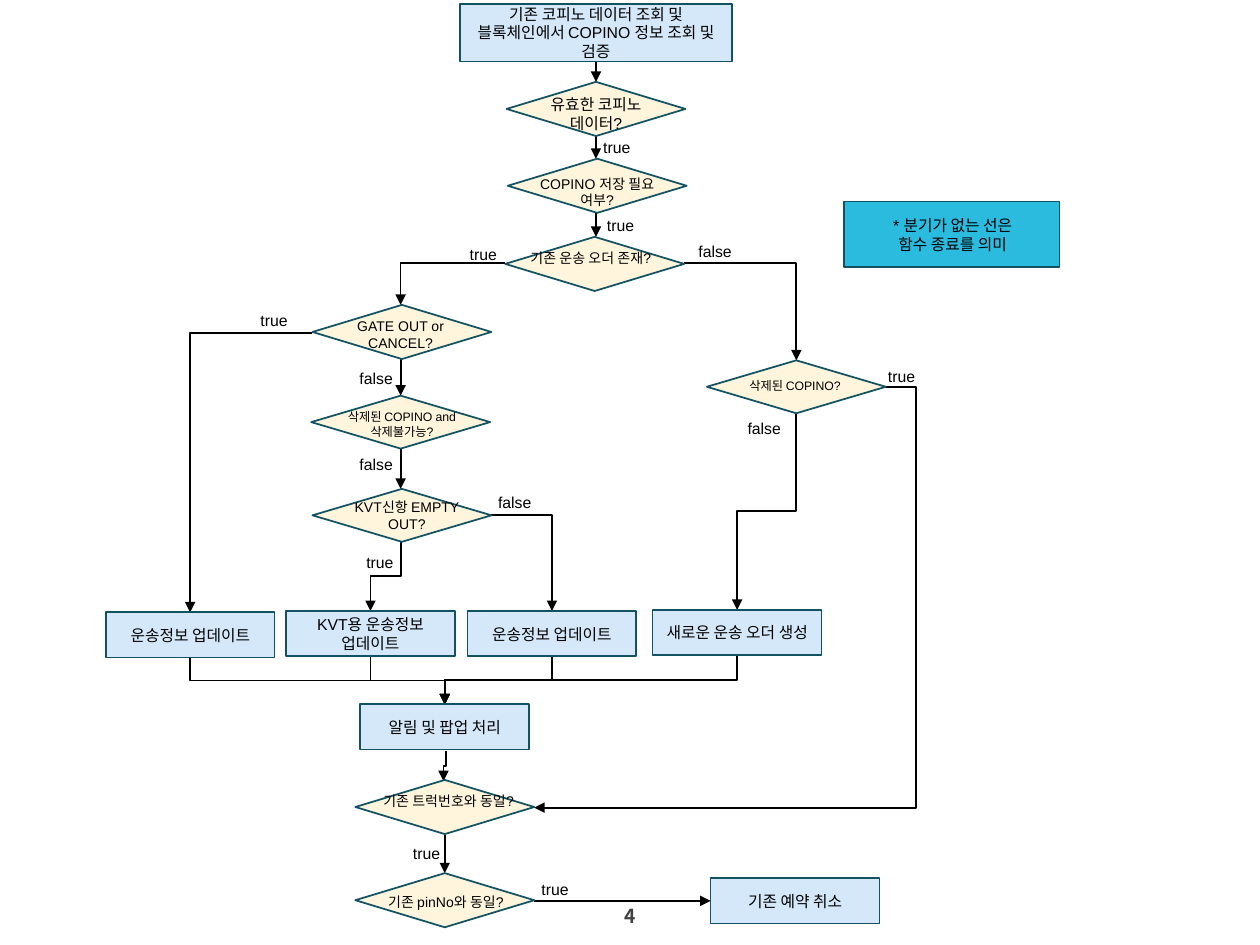
"""Build the COPINO transport-order flowchart slide."""
from dataclasses import dataclass
from typing import NamedTuple

from lxml.etree import SubElement
from pptx import Presentation
from pptx.dml.color import RGBColor
from pptx.enum.shapes import MSO_CONNECTOR, MSO_SHAPE
from pptx.enum.text import MSO_ANCHOR, MSO_AUTO_SIZE, PP_ALIGN
from pptx.oxml.ns import qn
from pptx.util import Inches, Pt


@dataclass(frozen=True)
class Theme:
    """Colours, fonts and type sizes of the slide."""
    process: str = "D5E8F9"
    decision: str = "FFF5DD"
    note: str = "2ABBDF"
    outline: str = "125262"
    ink: str = "000000"
    page: str = "404040"
    latin: str = "Arial"
    asian: str = "Noto Sans CJK KR"
    body: int = 9
    number: int = 11
    line: int = 1


class Process(NamedTuple):
    """A rectangular step."""
    x: float
    y: float
    text: str
    w: float = 1.34
    h: float = 0.36


class Decision(NamedTuple):
    """A diamond with its own caption box."""
    x: float
    y: float
    h: float
    text: str
    tx: float
    ty: float
    th: float
    size: int = 8


class Label(NamedTuple):
    """A branch label beside an arrow."""
    x: float
    y: float
    text: str
    w: float = 0.49


class Arrow(NamedTuple):
    """An arrow whose route spells its horizontal and vertical legs."""
    x1: float
    y1: float
    x2: float
    y2: float
    route: str = "v"
    turn: float = 0.5


T = Theme()

PROCESSES = [
    Process(3.65, 0.03, "기존 코피노 데이터 조회 및 블록체인에서 COPINO 정보 조회 및 검증", 2.16, 0.46),
    Process(0.84, 4.86, "운송정보 업데이트"),
    Process(2.27, 4.85, "KVT용 운송정보 업데이트"),
    Process(3.71, 4.85, "운송정보 업데이트"),
    Process(5.18, 4.84, "새로운 운송 오더 생성"),
    Process(2.86, 5.59, "알림 및 팝업 처리"),
    Process(5.64, 6.97, "기존 예약 취소"),
]
DECISIONS = [
    Decision(4.02, 0.65, 0.43, "유효한 코피노 데이터?", 4.13, 0.7, 0.4, 9),
    Decision(4.03, 1.26, 0.43, "COPINO 저장 필요 여부?", 4.14, 1.34, 0.37),
    Decision(4.01, 1.88, 0.43, "기존 운송 오더 존재?", 4.09, 1.93, 0.37),
    Decision(2.48, 2.42, 0.43, "GATE OUT or CANCEL?", 2.58, 2.47, 0.37),
    Decision(2.47, 3.14, 0.42, "삭제된 COPINO and 삭제불가능?", 2.59, 3.2, 0.34, 7),
    Decision(2.48, 3.88, 0.42, "KVT신항 EMPTY OUT?", 2.63, 3.91, 0.37),
    Decision(5.61, 2.86, 0.42, "삭제된 COPINO?", 5.71, 2.95, 0.22, 7),
    Decision(2.82, 6.19, 0.43, "기존 트럭번호와 동일?", 2.93, 6.24, 0.37),
    Decision(2.82, 6.93, 0.43, "기존 pinNo와 동일?", 2.94, 7.04, 0.24),
]
LABELS = [
    Label(4.65, 1.04, "true"), Label(4.68, 1.66, "true"),
    Label(3.59, 1.89, "true"), Label(5.43, 1.87, "false"),
    Label(1.93, 2.42, "true"), Label(2.74, 2.88, "false"),
    Label(2.74, 3.56, "false"), Label(3.84, 3.86, "false"),
    Label(2.77, 4.34, "true"), Label(5.82, 3.27, "false"),
    Label(6.94, 2.86, "true", 0.43), Label(3.17, 6.65, "true", 0.43),
    Label(4.19, 6.93, "true", 0.43),
]
ARROWS = [
    Arrow(4.73, 0.49, 4.73, 0.65),
    Arrow(4.73, 1.08, 4.73, 1.26),
    Arrow(4.73, 1.69, 4.73, 1.88),
    Arrow(3.18, 2.84, 3.18, 3.14),
    Arrow(3.18, 3.56, 3.18, 3.88),
    Arrow(3.53, 6.63, 3.53, 6.93),
    Arrow(4.24, 7.15, 5.64, 7.15, "h"),
    Arrow(4.01, 2.09, 3.18, 2.42, "hv"),
    Arrow(5.43, 2.09, 6.32, 2.86, "hv"),
    Arrow(2.48, 2.64, 1.51, 4.86, "hv"),
    Arrow(3.89, 4.09, 4.38, 4.85, "hv"),
    Arrow(3.18, 4.29, 2.94, 4.85, "vhv"),
    Arrow(6.32, 3.27, 5.85, 4.84, "vhv"),
    Arrow(3.54, 5.96, 3.52, 6.2, "vhv"),
    Arrow(7.02, 3.07, 4.24, 6.41, "hvh", -0.09),
    *(Arrow(x, 5.21, 3.53, 5.59, "vhv") for x in (1.51, 2.94, 4.38, 5.85)),
]


def write(sp, text: str, size: int = T.body, color: str = T.ink,
          font: str = T.latin, bold: bool = False, **frame) -> None:
    """Fill a shape with one centred paragraph."""
    tf = sp.text_frame
    for name, value in {"word_wrap": True, **frame}.items():
        setattr(tf, name, value)
    p = tf.paragraphs[0]
    p.text, p.alignment = text, PP_ALIGN.CENTER
    for r in p.runs:
        for name, value in {"size": Pt(size), "bold": bold, "name": font}.items():
            setattr(r.font, name, value)
        r.font.color.rgb = RGBColor.from_string(color)
        SubElement(r.font._element, qn("a:ea"), typeface=T.asian)


def add_box(s, kind: MSO_SHAPE, x: float, y: float, w: float, h: float, fill: str):
    """Add an outlined flat shape."""
    sp = s.shapes.add_shape(kind, *map(Inches, (x, y, w, h)))
    sp.shadow.inherit = False
    sp.fill.solid()
    sp.fill.fore_color.rgb = RGBColor.from_string(fill)
    sp.line.color.rgb = RGBColor.from_string(T.outline)
    sp.line.width = Pt(T.line)
    return sp


def add_text(s, x: float, y: float, w: float, h: float, text: str, **style) -> None:
    """Add a text box that grows with its text."""
    sp = s.shapes.add_textbox(*map(Inches, (x, y, w, h)))
    write(sp, text, **{"auto_size": MSO_AUTO_SIZE.SHAPE_TO_FIT_TEXT, **style})


def add_arrow(s, a: Arrow) -> None:
    """Add a straight or elbow connector with an arrowhead."""
    ends = a.x1, a.y1, a.x2, a.y2
    if a.route == "vhv":
        cx, cy = (a.x1 + a.x2) / 2, (a.y1 + a.y2) / 2
        dx, dy = (a.x2 - a.x1) / 2, (a.y2 - a.y1) / 2
        ends = cx - dy, cy + dx, cx + dy, cy - dx
    kind = MSO_CONNECTOR.STRAIGHT if len(a.route) == 1 else MSO_CONNECTOR.ELBOW
    c = s.shapes.add_connector(kind, *map(Inches, ends))
    c.line.color.rgb = RGBColor.from_string(T.ink)
    c.line.width = Pt(T.line)
    spPr = c._element.spPr
    SubElement(spPr.find(qn("a:ln")), qn("a:tailEnd"), type="triangle")
    SubElement(spPr, qn("a:effectLst"))
    geom = spPr.find(qn("a:prstGeom"))
    if a.route == "hv":
        geom.set("prst", "bentConnector2")
    elif a.route == "vhv":
        spPr.find(qn("a:xfrm")).set("rot", "5400000")
    elif a.route == "hvh":
        SubElement(geom.find(qn("a:avLst")), qn("a:gd"), name="adj1",
                   fmla=f"val {round(a.turn * 100000)}")


def main() -> None:
    """Draw the flowchart and save it."""
    prs = Presentation()
    prs.slide_width, prs.slide_height = Inches(10), Inches(7.5)
    s = prs.slides.add_slide(prs.slide_layouts[6])
    margins = dict.fromkeys(
        ("margin_left", "margin_top", "margin_right", "margin_bottom"), 0)
    add_text(s, 4.91, 7.17, 0.18, 0.19, "4", size=T.number, color=T.page, font=T.asian,
             bold=True, word_wrap=False, vertical_anchor=MSO_ANCHOR.MIDDLE, **margins)
    for a in ARROWS:
        add_arrow(s, a)
    for b in PROCESSES:
        sp = add_box(s, MSO_SHAPE.RECTANGLE, b.x, b.y, b.w, b.h, T.process)
        write(sp, b.text, vertical_anchor=MSO_ANCHOR.MIDDLE)
    for d in DECISIONS:
        add_box(s, MSO_SHAPE.DIAMOND, d.x, d.y, 1.42, d.h, T.decision)
        add_text(s, d.tx, d.ty, 1.2, d.th, d.text, size=d.size)
    for n in LABELS:
        add_text(s, n.x, n.y, n.w, 0.25, n.text)
    add_box(s, MSO_SHAPE.RECTANGLE, 6.7, 1.6, 1.71, 0.52, T.note)
    add_text(s, 6.9, 1.66, 1.32, 0.4, "* 분기가 없는 선은\v함수 종료를 의미", word_wrap=False)
    prs.save("out.pptx")


if __name__ == "__main__":
    main()
